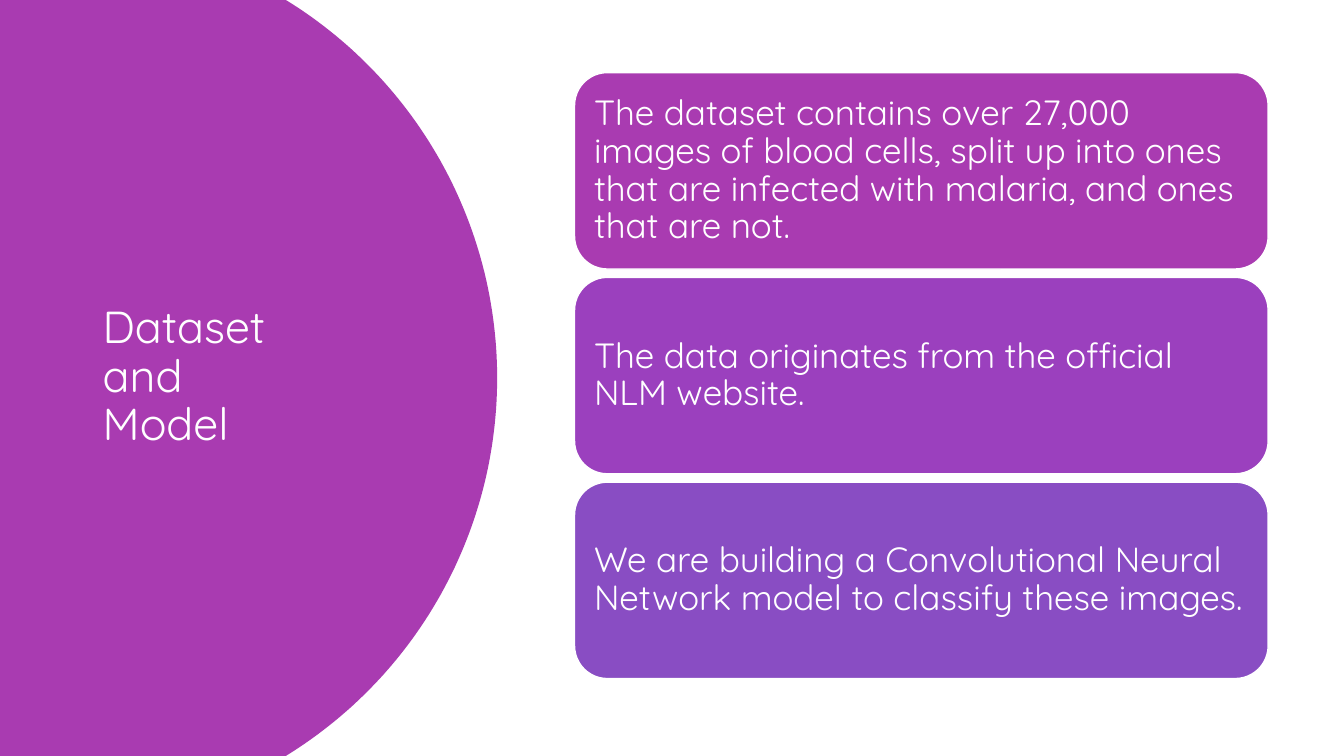
import math

from pptx import Presentation
from pptx import util as u
from pptx.dml.color import RGBColor
from pptx.enum import shapes, text

FONT = "Quicksand"
WHITE = "FFFFFF"
PURPLE = "A93BB1"
INSET = u.Cm(0.25)

TITLE_LINES = ["Dataset", "and", "Model"]
STATEMENTS = [
    ("The dataset contains over 27,000 images of blood cells, split up into ones "
     "that are infected with malaria, and ones that are not.", PURPLE),
    ("The data originates from the official NLM website.", "9B40BE"),
    ("We are building a Convolutional Neural Network model to classify these images.",
     "894DC3"),
]


def color(hex_value):
    return RGBColor.from_string(hex_value)


def fill_solid(shape, hex_value):
    shape.shadow.inherit = False
    shape.fill.solid()
    shape.fill.fore_color.rgb = color(hex_value)


def write_lines(shape, lines, size):
    """Write one white, left-aligned paragraph with a break between lines."""
    frame = shape.text_frame
    frame.word_wrap = True
    frame.vertical_anchor = text.MSO_ANCHOR.MIDDLE
    frame.margin_left = frame.margin_right = INSET
    frame.margin_top = frame.margin_bottom = INSET
    paragraph = frame.paragraphs[0]
    paragraph.alignment = text.PP_ALIGN.LEFT
    paragraph.line_spacing = 0.9
    for index, line in enumerate(lines):
        if index:
            paragraph.add_line_break()
        run = paragraph.add_run()
        run.text = line
        run.font.name = FONT
        run.font.size = u.Pt(size)
        run.font.color.rgb = color(WHITE)


def add_round_panel(slide, height, center_x, radius, steps=120):
    """Fill the left side up to a circular arc that spans the slide height."""
    half_angle = math.asin(height / 2 / radius)
    angles = [half_angle * (2 * step / steps - 1) for step in range(steps + 1)]
    arc = [(center_x + radius * math.cos(angle), height / 2 + radius * math.sin(angle))
           for angle in angles]
    outline = slide.shapes.build_freeform(0, 0)
    outline.add_line_segments(arc + [(0, height)], close=True)
    panel = outline.convert_to_shape()
    fill_solid(panel, PURPLE)
    panel.line.fill.background()


def add_title(slide):
    title = slide.shapes.add_textbox(u.Cm(2.34), u.Cm(1.78), u.Cm(8.2), u.Cm(15.47))
    write_lines(title, TITLE_LINES, 32)


def add_statement(slide, top, statement, hex_value):
    card = slide.shapes.add_shape(shapes.MSO_SHAPE.ROUNDED_RECTANGLE,
                                  u.Cm(14.48), top, u.Cm(17.48), u.Cm(4.95))
    fill_solid(card, hex_value)
    card.line.color.rgb = color(WHITE)
    card.line.width = u.Pt(1)
    write_lines(card, [statement], 25)


def main():
    deck = Presentation()
    deck.slide_width, deck.slide_height = u.Cm(33.87), u.Cm(19.05)
    slide = deck.slides.add_slide(deck.slide_layouts[6])

    # Left panel with the title
    add_round_panel(slide, deck.slide_height, u.Cm(1.35), u.Cm(11.18))
    add_title(slide)

    # Stack of statements
    for row, (statement, hex_value) in enumerate(STATEMENTS):
        add_statement(slide, u.Cm(1.83 + 5.16 * row), statement, hex_value)

    deck.save("out.pptx")


if __name__ == "__main__":
    main()
